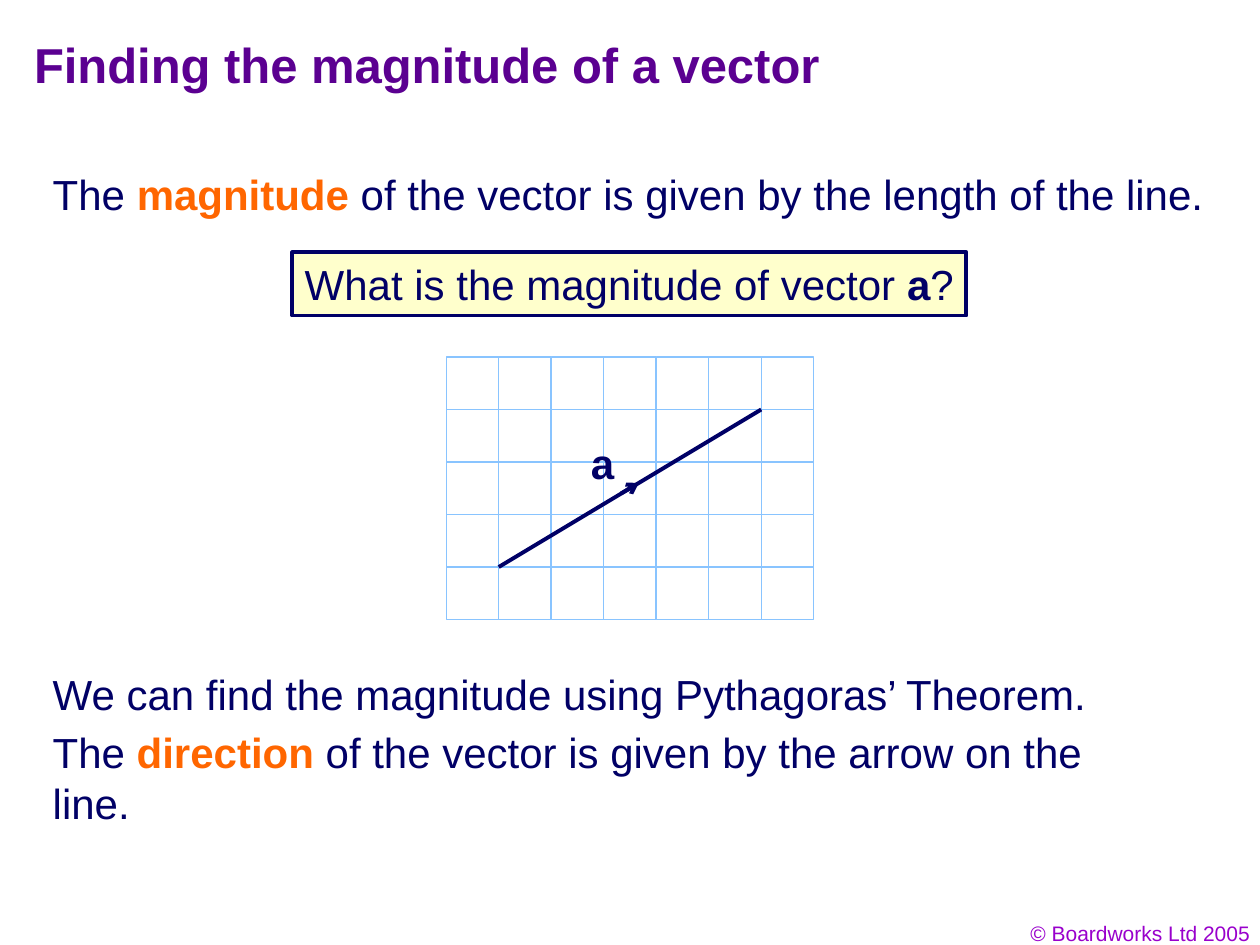
from pptx import Presentation, util as u
from pptx.dml.color import RGBColor
from pptx.enum import shapes, text
from pptx.oxml.ns import qn
from lxml import etree

WIDTH, HEIGHT = u.Inches(10), u.Inches(7.5)
CELL = WIDTH / 24
GRID_LEFT, GRID_TOP = 8.5 * CELL, 6.8 * CELL
COLUMNS, ROWS = 7, 5
INK, LINE, ACCENT = "010066", "000066", "FF6600"


def color(value):
    return RGBColor.from_string(value)


def share(left, top, width, height):
    return (round(left * WIDTH), round(top * HEIGHT),
            round(width * WIDTH), round(height * HEIGHT))


def grid_point(column, row):
    return round(GRID_LEFT + column * CELL), round(GRID_TOP + row * CELL)


def write(shape, runs, size=24, align=text.PP_ALIGN.LEFT, wrap=False):
    tf = shape.text_frame
    tf.word_wrap = wrap
    tf.vertical_anchor = text.MSO_ANCHOR.MIDDLE
    p = tf.paragraphs[0]
    p.alignment = align
    for words, fill, bold in runs:
        r = p.add_run()
        r.text = words
        r.font.name = "Arial"
        r.font.size = u.Pt(size)
        r.font.bold = bold
        r.font.color.rgb = color(fill)


def add_title(s, words):
    title = s.shapes.title
    title.left, title.top, title.width, title.height = share(0.017, 0.023, 0.85, 0.09)
    write(title, [(words, "5B0091", True)], size=28, wrap=True)
    title.text_frame.auto_size = text.MSO_AUTO_SIZE.NONE


def add_text(s, box, runs, **style):
    write(s.shapes.add_textbox(*share(*box)), runs, **style)


def add_rect(parent, box, fill, line, weight):
    sp = parent.shapes.add_shape(shapes.MSO_SHAPE.RECTANGLE, *box)
    sp.shadow.inherit = False
    sp.fill.solid()
    sp.fill.fore_color.rgb = color(fill)
    sp.line.color.rgb = color(line)
    sp.line.width = u.Pt(weight)
    return sp


def add_grid(s):
    grid = s.shapes.add_group_shape()
    for row in range(ROWS):
        for column in range(COLUMNS):
            box = (*grid_point(column, row), round(CELL), round(CELL))
            add_rect(grid, box, "FFFFFF", "89C4FF", 0.75)


def add_line(parent, start, end, arrow=False):
    line = parent.shapes.add_connector(
        shapes.MSO_CONNECTOR.STRAIGHT, *grid_point(*start), *grid_point(*end))
    line.line.color.rgb = color(LINE)
    line.line.width = u.Pt(2.25)
    if arrow:
        etree.SubElement(line.line._get_or_add_ln(), qn("a:tailEnd"), type="arrow")
    etree.SubElement(line._element.spPr, qn("a:effectLst"))


def add_vector(s):
    vector = s.shapes.add_group_shape()
    add_line(vector, (1, 4), (6, 1))
    add_line(vector, (3.33, 2.6), (3.67, 2.4), arrow=True)


def main():
    prs = Presentation()
    prs.slide_width, prs.slide_height = WIDTH, HEIGHT
    s = prs.slides.add_slide(prs.slide_layouts[5])
    add_text(s, (0.769, 0.967, 0.233, 0.04),
             [("© Boardworks Ltd 2005", "9900CC", False)],
             size=12, align=text.PP_ALIGN.RIGHT, wrap=True)
    add_title(s, "Finding the magnitude of a vector")
    add_text(s, (0.032, 0.172, 0.952, 0.067), [
        ("The ", INK, False),
        ("magnitude", ACCENT, True),
        (" of the vector is given by the length of the line.", INK, False)], wrap=True)
    question = add_rect(s, share(0.232, 0.267, 0.535, 0.067), "FFFFCC", LINE, 2.25)
    write(question, [
        ("What is the magnitude of vector ", INK, False),
        ("a", INK, True),
        ("?", INK, False)])
    add_text(s, (0.032, 0.701, 0.842, 0.067),
             [("We can find the magnitude using Pythagoras’ Theorem.", INK, False)])
    add_text(s, (0.032, 0.789, 0.907, 0.067), [
        ("The ", INK, False),
        ("direction", ACCENT, True),
        (" of the vector is given by the arrow on the line.", INK, False)])
    add_grid(s)
    add_vector(s)
    add_text(s, (0.459, 0.456, 0.038, 0.067), [("a", INK, True)])
    prs.save("out.pptx")


if __name__ == "__main__":
    main()
